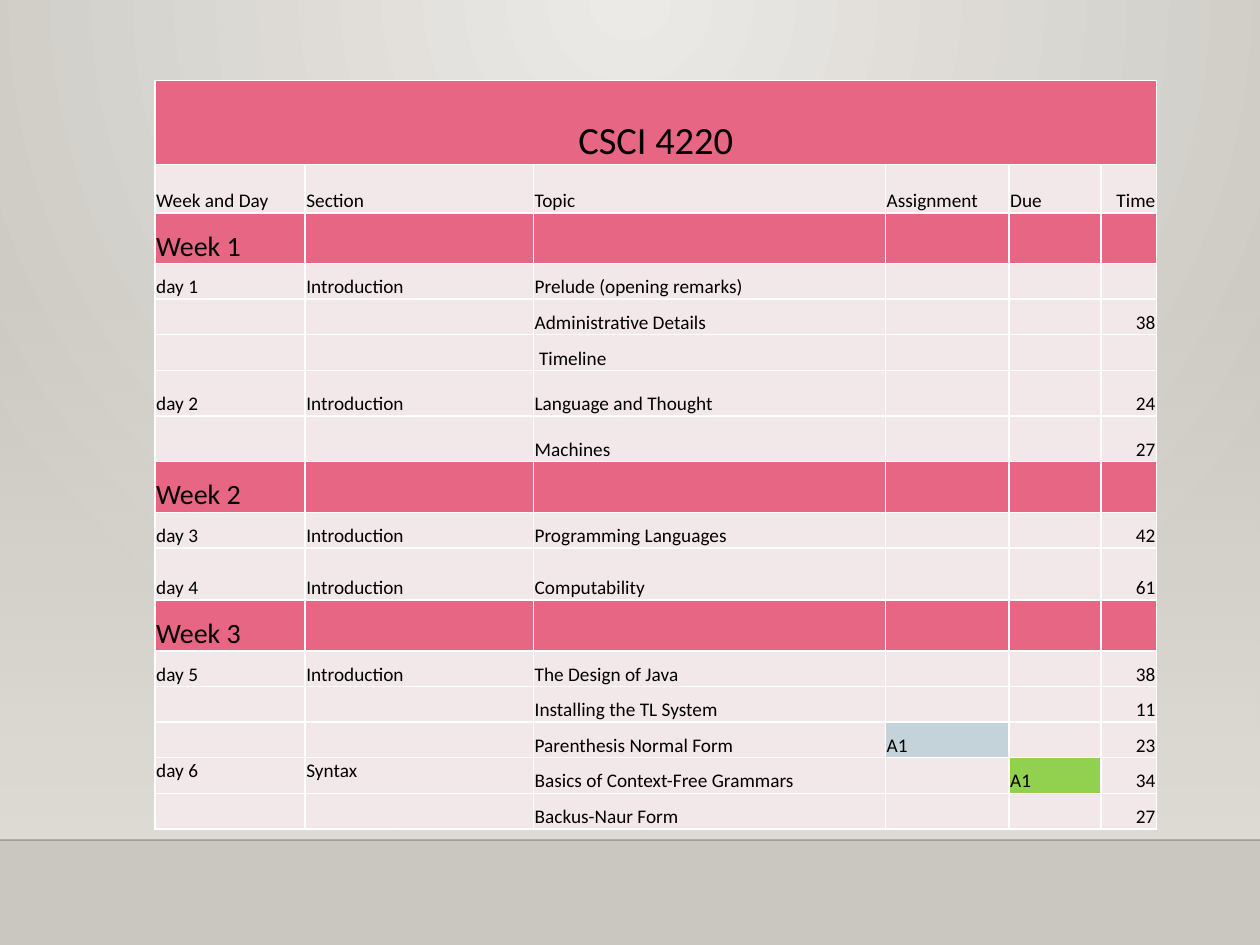
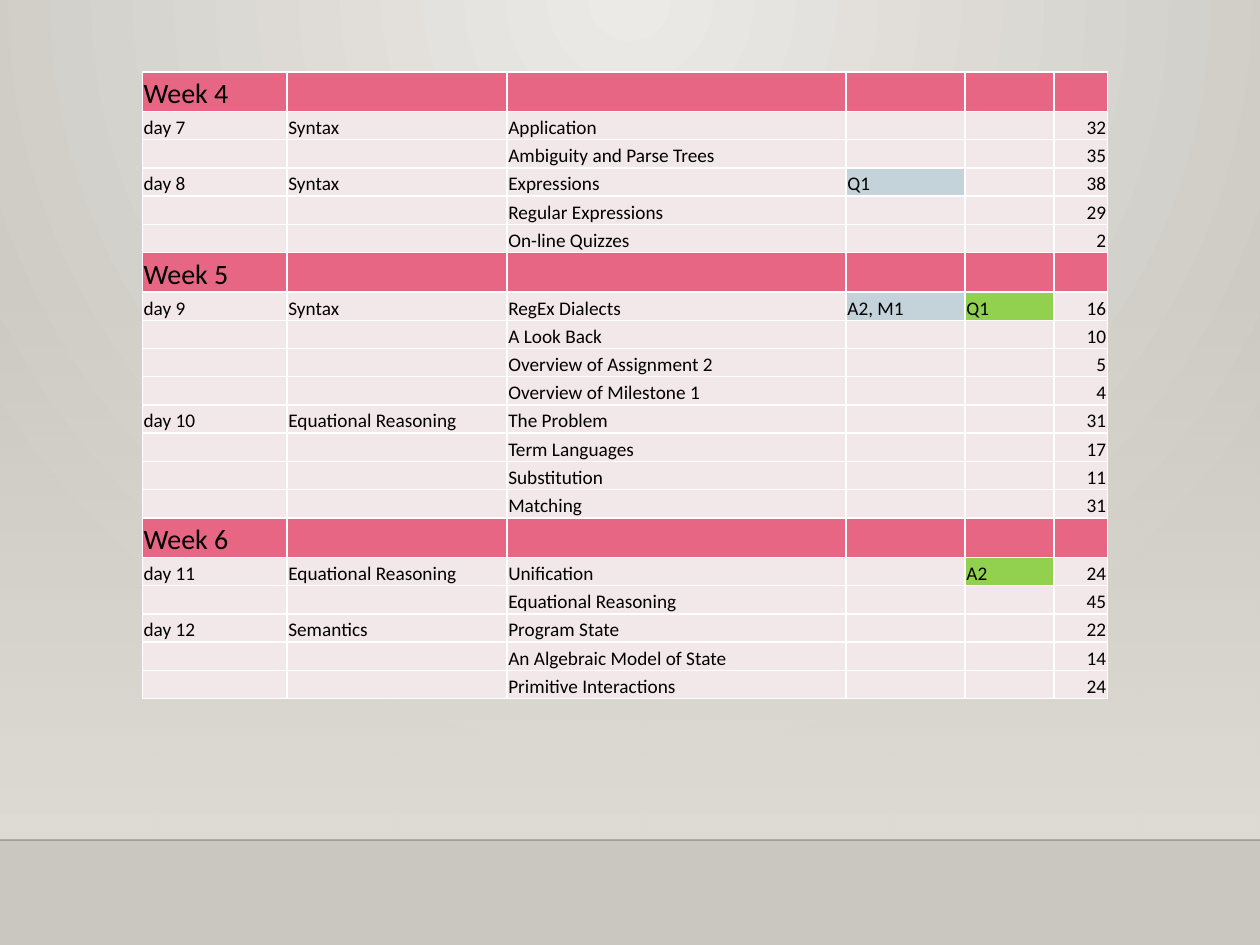
from lxml import etree
from pptx import Presentation, util as u
from pptx.dml.color import RGBColor
from pptx.enum import shapes, text
from pptx.oxml.ns import qn

COLOURS = {
    "glow": "ECEAE7", "edge": "CAC7C1", "haze": "DFDBD5", "horizon": "000001",
    "band": "E66684", "plain": "F3E8E9", "assigned": "C3D3D9", "due": "92D050",
    "ink": "000000", "border": "FFFFFF",
}
COLUMN_WEIGHTS = [1.19, 1.81, 2.79, 0.98, 0.73, 0.44]
ASSIGNMENT, DUE, TIME = 3, 4, 5

OPENING_WEEKS = [
    (0.66, "CSCI 4220", "", "", "", "", ""),
    (0.38, "Week and Day", "Section", "Topic", "Assignment", "Due", "Time"),
    (0.4, "Week 1", "", "", "", "", ""),
    (0.28, "day 1", "Introduction", "Prelude (opening remarks)", "", "", ""),
    (0.28, "", "", "Administrative Details", "", "", "38"),
    (0.28, "", "", " Timeline", "", "", ""),
    (0.36, "day 2", "Introduction", "Language and Thought", "", "", "24"),
    (0.36, "", "", "Machines", "", "", "27"),
    (0.4, "Week 2", "", "", "", "", ""),
    (0.28, "day 3", "Introduction", "Programming Languages", "", "", "42"),
    (0.41, "day 4", "Introduction", "Computability", "", "", "61"),
    (0.4, "Week 3", "", "", "", "", ""),
    (0.28, "day 5", "Introduction", "The Design of Java", "", "", "38"),
    (0.28, "", "", "Installing the TL System", "", "", "11"),
    (0.28, "", "", "Parenthesis Normal Form", "A1", "", "23"),
    (0.28, "day 6", "Syntax", "Basics of Context-Free Grammars", "", "A1", "34"),
    (0.28, "", "", "Backus-Naur Form", "", "", "27"),
]
LATER_WEEKS = [
    (7, "Week 4", "", "", "", "", ""),
    (5, "day 7", "Syntax", "Application", "", "", "32"),
    (5, "", "", "Ambiguity and Parse Trees", "", "", "35"),
    (5, "day 8", "Syntax", "Expressions", "Q1", "", "38"),
    (5, "", "", "Regular Expressions", "", "", "29"),
    (5, "", "", "On-line Quizzes", "", "", "2"),
    (7, "Week 5", "", "", "", "", ""),
    (5, "day 9", "Syntax", "RegEx Dialects", "A2, M1", "Q1", "16"),
    (5, "", "", "A Look Back", "", "", "10"),
    (5, "", "", "Overview of Assignment 2", "", "", "5"),
    (5, "", "", "Overview of Milestone 1", "", "", "4"),
    (5, "day 10", "Equational Reasoning", "The Problem", "", "", "31"),
    (5, "", "", "Term Languages", "", "", "17"),
    (5, "", "", "Substitution", "", "", "11"),
    (5, "", "", "Matching", "", "", "31"),
    (7, "Week 6", "", "", "", "", ""),
    (5, "day 11", "Equational Reasoning", "Unification", "", "A2", "24"),
    (5, "", "", "Equational Reasoning", "", "", "45"),
    (5, "day 12", "Semantics", "Program State", "", "", "22"),
    (5, "", "", "An Algebraic Model of State", "", "", "14"),
    (5, "", "", "Primitive Interactions", "", "", "24"),
]
SCHEDULES = [
    (OPENING_WEEKS, 1.23, 0.64, 7.95, 5.94),
    (LATER_WEEKS, 1.13, 0.57, 7.66, 4.98),
]


def write_cell(cell, words, size=11, fill="plain", align=text.PP_ALIGN.LEFT,
               anchor=text.MSO_ANCHOR.BOTTOM):
    cell.margin_left = cell.margin_right = cell.margin_top = u.Inches(0.01)
    cell.margin_bottom = 0
    cell.vertical_anchor = anchor
    properties = cell._tc.get_or_add_tcPr()
    for side in ("a:lnL", "a:lnR", "a:lnT", "a:lnB"):
        border = etree.SubElement(properties, qn(side), w=str(u.Pt(1)))
        paint = etree.SubElement(border, qn("a:solidFill"))
        etree.SubElement(paint, qn("a:srgbClr"), val=COLOURS["border"])
    cell.fill.solid()
    cell.fill.fore_color.rgb = RGBColor.from_string(COLOURS[fill])
    para = cell.text_frame.paragraphs[0]
    para.alignment = align
    if not words:
        etree.SubElement(para._p, qn("a:endParaRPr"), sz=str(size * 100))
        return
    span = para.add_run()
    span.text = words
    span.font.name = "Calibri"
    span.font.size = u.Pt(size)
    span.font.bold = False
    span.font.color.rgb = RGBColor.from_string(COLOURS["ink"])


def blend(fill, first, last):
    fill.gradient()
    for stop, name in zip(fill.gradient_stops, (first, last)):
        stop.color.rgb = RGBColor.from_string(COLOURS[name])


deck = Presentation()
deck.slide_width, deck.slide_height = u.Inches(10), u.Inches(7.5)
width, height = deck.slide_width, deck.slide_height
master = deck.slide_master
pages = [deck.slides.add_slide(deck.slide_layouts[6]) for schedule in SCHEDULES]

blend(master.background.fill, "glow", "edge")
direction = next(master.element.iter(qn("a:lin")))
circle = etree.Element(qn("a:path"), path="circle")
etree.SubElement(circle, qn("a:fillToRect"), l="43000", t="0", r="43000", b="100000")
direction.getparent().replace(direction, circle)

horizon_top = int(height * 8 / 9)
haze_top = u.Inches(2.2)
haze = pages[0].shapes.add_shape(
    shapes.MSO_SHAPE.RECTANGLE, 0, haze_top, width, horizon_top - haze_top)
haze.shadow.inherit = False
haze.line.fill.background()
blend(haze.fill, "haze", "haze")
haze.fill.gradient_angle = 270

horizon = pages[0].shapes.add_connector(
    shapes.MSO_CONNECTOR.STRAIGHT, 0, horizon_top, width, horizon_top)
horizon.line.width = u.Pt(1)
horizon.line.color.rgb = RGBColor.from_string(COLOURS["horizon"])
etree.SubElement(horizon.element.spPr, qn("a:effectLst"))

for order, (part, opacity) in enumerate([(haze, "0"), (horizon, "20000")]):
    colour = next(part.element.iter(qn("a:srgbClr")))
    etree.SubElement(colour, qn("a:alpha"), val=opacity)
    master.shapes.element.insert(2 + order, part.element)

for page, (rows, left, top, across, down) in zip(pages, SCHEDULES):
    frame = page.shapes.add_table(
        len(rows), len(COLUMN_WEIGHTS),
        u.Inches(left), u.Inches(top), u.Inches(across), u.Inches(down))
    table = frame.table
    table.first_row = table.horz_banding = False
    for column, weight in zip(table.columns, COLUMN_WEIGHTS):
        column.width = u.Inches(across * weight / sum(COLUMN_WEIGHTS))
    total = sum(row[0] for row in rows)
    for index, (weight, *entries) in enumerate(rows):
        table.rows[index].height = u.Inches(down * weight / total)
        is_title = entries[0].startswith("CSCI")
        is_week = entries[0].startswith("Week ") and not entries[1]
        is_heading = entries[TIME] == "Time"
        for column, words in enumerate(entries):
            look = {}
            if is_title:
                look = {"size": 22, "fill": "band", "align": text.PP_ALIGN.CENTER}
            elif is_week:
                look = {"size": 16, "fill": "band"}
            elif column == TIME:
                look = {"align": text.PP_ALIGN.RIGHT}
            elif words and not is_heading and column in (ASSIGNMENT, DUE):
                look = {"fill": "assigned" if column == ASSIGNMENT else "due"}
            elif entries[0] == "day 6" and column < 2:
                look = {"anchor": text.MSO_ANCHOR.TOP}
            write_cell(table.cell(index, column), words, **look)
        if is_title:
            table.cell(index, 0).merge(table.cell(index, TIME))

deck.save("out.pptx")
